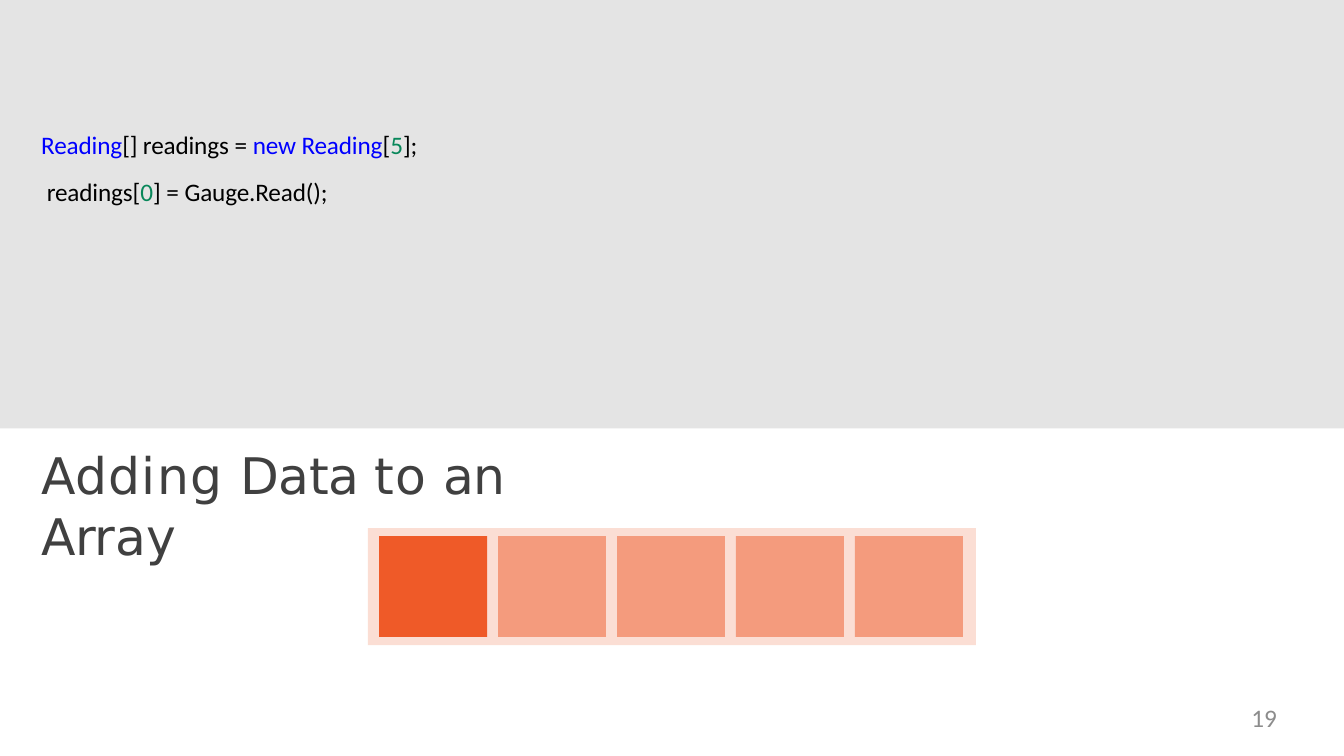
from dataclasses import dataclass

import pptx
import pptx.dml.color
import pptx.enum.shapes
import pptx.enum.text
import pptx.oxml.ns
import pptx.util
from lxml import etree


@dataclass(frozen=True)
class Theme:
    panel: str = "E4E4E4"
    accent: str = "EF5A28"
    title: str = "404040"
    number: str = "8C8C8C"
    word: str = "0000FF"
    plain: str = "000000"
    digit: str = "08875A"
    body: str = "Calibri"
    head: str = "DejaVu Sans"
    small: int = 18
    large: int = 36


@dataclass(frozen=True)
class Box:
    """A place on the slide, in percent of its width and height."""
    left: float
    top: float
    width: float
    height: float


@dataclass(frozen=True)
class Block:
    box: Box
    color: str
    alpha: int = 100


@dataclass(frozen=True)
class Part:
    text: str
    color: str
    gap: float = 0


THEME = Theme()
WIDE = pptx.util.Inches(13.333)
HIGH = pptx.util.Inches(7.5)

SLOTS = 5
FRAME = Box(27.38, 69.87, 45.24, 15.47)
FIRST = Box(28.21, 70.93, 8.03, 13.33)
PITCH = 8.85

CODE = [
    [
        Part("Reading", THEME.word, -0.1),
        Part("[] readings", THEME.plain, -0.1),
        Part(" = ", THEME.plain),
        Part("new Reading", THEME.word, -0.1),
        Part("[", THEME.plain, -0.1),
        Part("5", THEME.digit, -0.1),
        Part("];", THEME.plain, -0.1),
    ],
    [
        Part(" readings[", THEME.plain, -0.1),
        Part("0", THEME.digit, -0.1),
        Part("] ", THEME.plain, -0.1),
        Part("= ", THEME.plain),
        Part("Gauge.Read();", THEME.plain, -0.1),
    ],
]
TITLE = [[
    Part("Adding ", THEME.title, 0.8),
    Part("Data ", THEME.title, -0.4),
    Part("to ", THEME.title, 0.5),
    Part("an ", THEME.title, -0.9),
    Part("Array", THEME.title, -0.2),
]]


def place(box: Box) -> tuple[int, int, int, int]:
    return (int(WIDE * box.left / 100), int(HIGH * box.top / 100),
            int(WIDE * box.width / 100), int(HIGH * box.height / 100))


def tint(color: str) -> pptx.dml.color.RGBColor:
    return pptx.dml.color.RGBColor.from_string(color)


def draw(slide, block: Block) -> None:
    kind = pptx.enum.shapes.MSO_SHAPE.RECTANGLE
    shape = slide.shapes.add_shape(kind, *place(block.box))
    shape.shadow.inherit = False
    shape.line.fill.background()
    shape.fill.solid()
    shape.fill.fore_color.rgb = tint(block.color)
    if block.alpha < 100:
        qn = pptx.oxml.ns.qn
        fill = shape.fill._xPr.find(qn("a:solidFill"))
        alpha = etree.SubElement(fill[0], qn("a:alpha"))
        alpha.set("val", str(block.alpha * 1000))


def write(slide, box: Box, lines: list[list[Part]], *, font: str, size: int,
          space: float = 1.0, right: bool = False) -> None:
    frame = slide.shapes.add_textbox(*place(box)).text_frame
    frame.word_wrap = True
    frame.margin_left = frame.margin_right = 0
    frame.margin_top = frame.margin_bottom = 0
    align = pptx.enum.text.PP_ALIGN
    for index, line in enumerate(lines):
        para = frame.paragraphs[0] if index == 0 else frame.add_paragraph()
        para.line_spacing = space
        para.alignment = align.RIGHT if right else align.LEFT
        for part in line:
            run = para.add_run()
            run.text = part.text
            run.font.name = font
            run.font.size = pptx.util.Pt(size)
            run.font.color.rgb = tint(part.color)
            if part.gap:
                run._r.get_or_add_rPr().set("spc", str(round(part.gap * 100)))


def main() -> None:
    deck = pptx.Presentation()
    deck.slide_width, deck.slide_height = WIDE, HIGH
    slide = deck.slides.add_slide(deck.slide_layouts[6])

    draw(slide, Block(Box(0, 0, 100, 56.67), THEME.panel))
    write(slide, Box(3.07, 14.9, 40, 12.8), CODE,
          font=THEME.body, size=THEME.small, space=1.56)

    draw(slide, Block(FRAME, THEME.accent, 20))
    for slot in range(SLOTS):
        box = Box(FIRST.left + slot * PITCH, FIRST.top,
                  FIRST.width, FIRST.height)
        draw(slide, Block(box, THEME.accent, 50 if slot else 100))

    write(slide, Box(3.07, 58.8, 45.38, 16), TITLE,
          font=THEME.head, size=THEME.large)
    write(slide, Box(72, 92.93, 23, 5.07), [[Part("19", THEME.number)]],
          font=THEME.body, size=THEME.small, right=True)
    deck.save("out.pptx")


if __name__ == "__main__":
    main()
